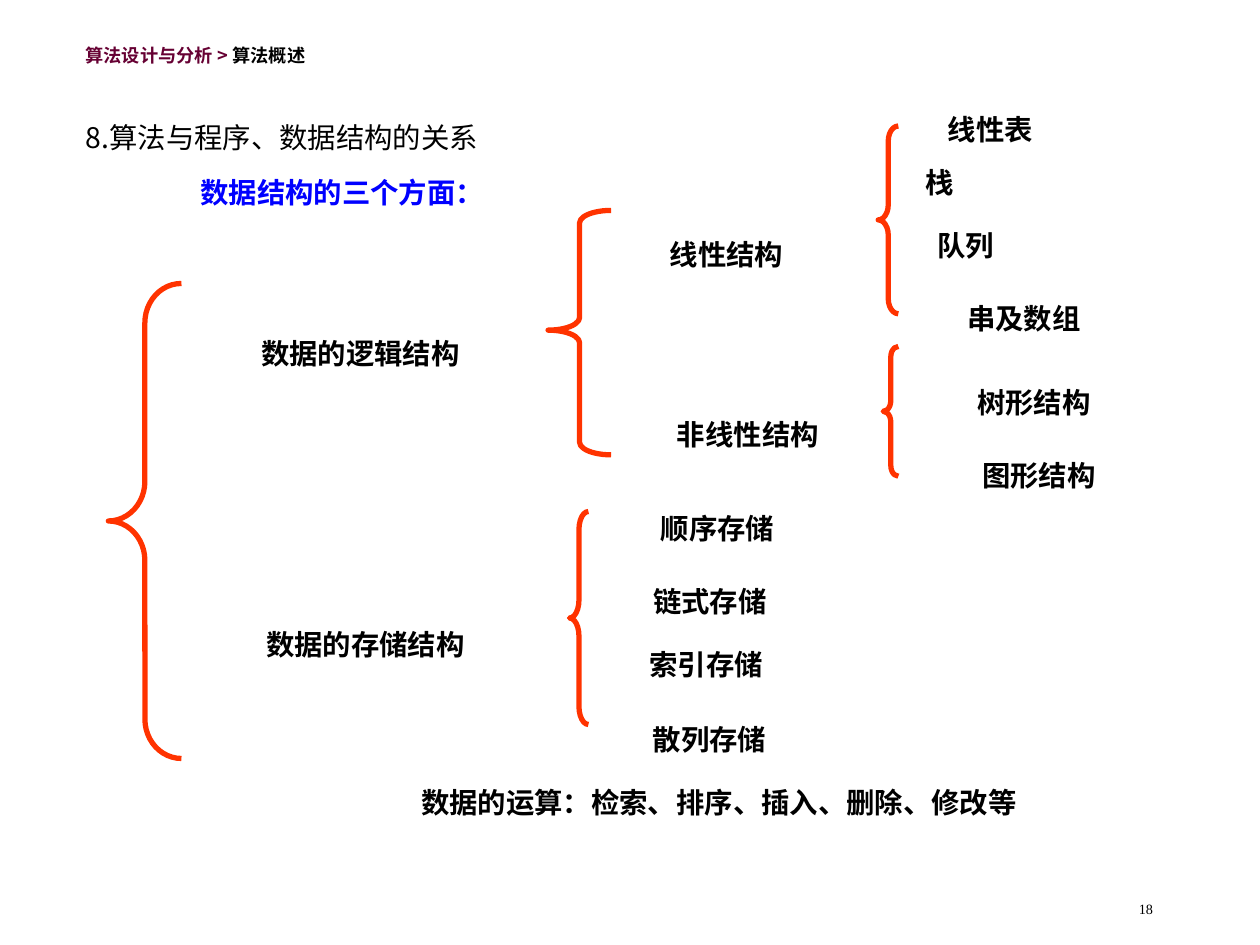
from lxml.etree import SubElement
from pptx import Presentation
from pptx.dml.color import RGBColor
from pptx.enum.shapes import MSO_SHAPE
from pptx.enum.text import MSO_ANCHOR, MSO_AUTO_SIZE, PP_ALIGN
from pptx.oxml.ns import qn
from pptx.util import Inches, Pt

COLORS = {"text": "000000", "topic": "0000FF", "course": "660033", "brace": "FF3300"}
SANS, SERIF = "Noto Sans CJK SC", "Times New Roman"


class Sketch:
    def __init__(self, slide):
        self.slide = slide

    def color(self, name):
        return RGBColor.from_string(COLORS[name])

    def place(self, shape, box):
        shape.left, shape.top, shape.width, shape.height = map(Inches, box)

    def style(self, run, size, font, color, bold):
        run.font.size = Pt(size)
        run.font.name = font
        run.font.bold = bold
        run.font.color.rgb = self.color(color)
        props = run._r.get_or_add_rPr()
        props.set("baseline", "-25000")
        SubElement(props, qn("a:ea")).set("typeface", SANS)

    def fill(self, shape, parts, size=28, font=SERIF, bold=True,
             align=PP_ALIGN.CENTER, wrap=False, space=None, anchor=MSO_ANCHOR.TOP):
        frame = shape.text_frame
        frame.auto_size = MSO_AUTO_SIZE.NONE
        frame.word_wrap = wrap
        frame.vertical_anchor = anchor
        line = frame.paragraphs[0]
        line.alignment = align
        line.line_spacing = space
        for text, color in parts:
            run = line.add_run()
            run.text = text
            self.style(run, size, font, color, bold)

    def title(self, text, box):
        shape = self.slide.shapes.title
        self.place(shape, box)
        self.fill(shape, [(text, "text")], font=SANS, bold=False,
                  align=PP_ALIGN.LEFT, space=1.2)

    def text(self, parts, box, **style):
        shape = self.slide.shapes.add_textbox(*map(Inches, box))
        self.fill(shape, parts, **style)

    def label(self, text, left, top, width, color="text"):
        self.text([(text, color)], (left, top, width, 0.57))

    def brace(self, box, curve, point=0.5):
        shape = self.slide.shapes.add_shape(MSO_SHAPE.LEFT_BRACE, *map(Inches, box))
        shape.adjustments[0] = curve
        shape.adjustments[1] = point
        shape.shadow.inherit = False
        shape.fill.background()
        shape.line.color.rgb = self.color("brace")
        shape.line.width = Pt(3)


BRACES = [
    ((0.86, 2.25, 0.58, 3.77), 0.54),
    ((4.52, 4.06, 0.15, 1.69), 0.95),
    ((4.35, 1.67, 0.5, 1.94), 0.2, 0.49),
    ((6.97, 1, 0.16, 1.49), 0.75),
    ((7.01, 2.75, 0.12, 1.03), 0.7),
]
LABELS = [
    ("数据结构的三个方面：", 0.5, 1.08, 4.43, "topic"),
    (" 数据的逻辑结构 ", 1.29, 2.36, 3.14),
    (" 数据的存储结构 ", 1.33, 4.67, 3.14),
    (" 线性结构 ", 4.78, 1.57, 1.97),
    (" 非线性结构", 4.78, 3, 2.26),
    ("线性表", 7.17, 0.58, 1.38),
    ("栈", 7.17, 1, 0.58),
    ("队列", 7.17, 1.5, 0.99),
    ("串及数组", 7, 2.08, 2.25),
    ("树形结构", 7.16, 2.75, 2.09),
    ("图形结构", 7.16, 3.33, 2.17),
    (" 顺序存储", 4.45, 3.75, 2.44),
    (" 链式存储", 4.58, 4.33, 2.06),
    ("索引存储", 4.72, 4.83, 1.77),
    (" 散列存储", 4.67, 5.42, 1.87),
    ("数据的运算：检索、排序、插入、删除、修改等 ", 1.46, 5.92, 8.54),
]


def main():
    deck = Presentation()
    deck.slide_width, deck.slide_height = Inches(10), Inches(7.5)
    sketch = Sketch(deck.slides.add_slide(deck.slide_layouts[5]))
    sketch.title("8.算法与程序、数据结构的关系", (0.58, 0.54, 5.65, 0.66))
    sketch.text([("算法设计与分析 > ", "course"), ("算法概述", "text")],
                (0.58, 0, 3.35, 0.52), size=18, font=SANS,
                align=PP_ALIGN.LEFT, space=1.4)
    for brace in BRACES:
        sketch.brace(*brace)
    for label in LABELS:
        sketch.label(*label)
    sketch.text([("18", "text")], (7.17, 6.83, 2.08, 0.5), size=14, bold=False,
                align=PP_ALIGN.RIGHT, wrap=True, anchor=MSO_ANCHOR.BOTTOM)
    deck.save("out.pptx")


if __name__ == "__main__":
    main()
